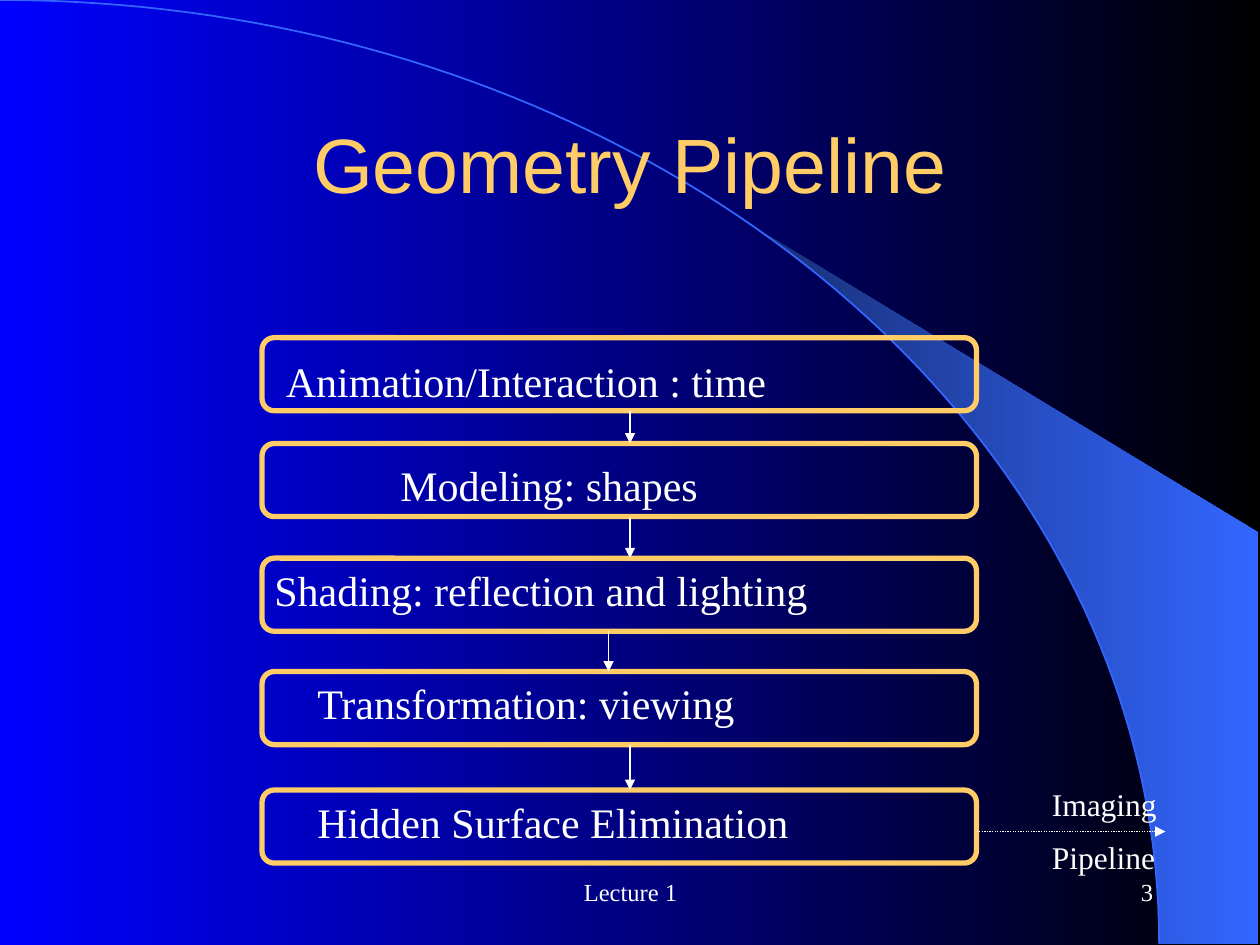
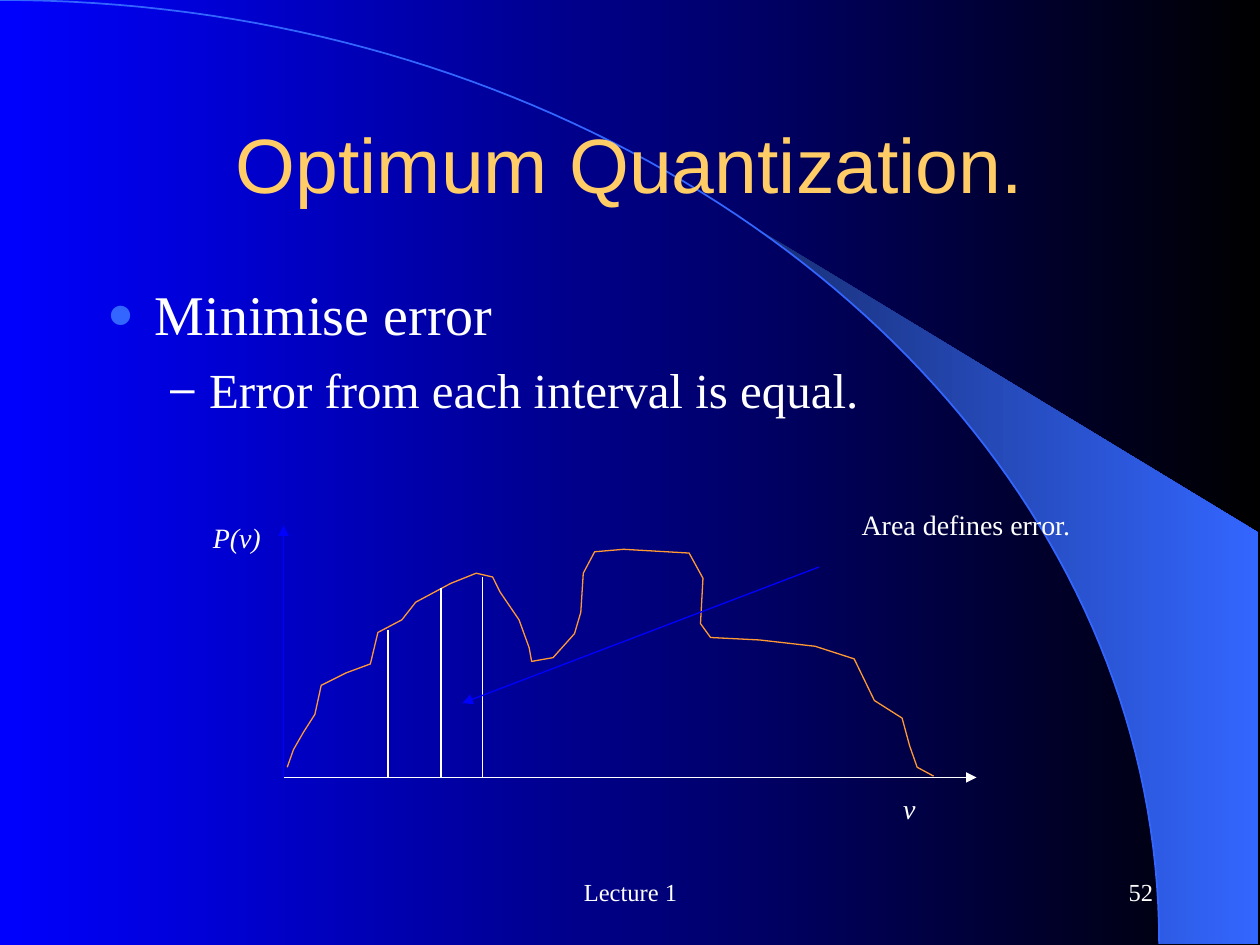
from dataclasses import dataclass

import lxml.etree
import pptx
import pptx.dml.color
import pptx.enum.dml
import pptx.enum.shapes
import pptx.enum.text
import pptx.oxml.ns
import pptx.util

PX = 9144
COLORS = {
    "blue": "0000FF",
    "black": "000000",
    "gold": "FFCC66",
    "white": "FFFFFF",
    "sky": "3366FF",
    "navy": "182F76",
    "orange": "FF9933",
}
SERIF = "Times New Roman"
ALIGN = pptx.enum.text.PP_ALIGN
MIDDLE = pptx.enum.text.MSO_ANCHOR.MIDDLE
TOP = pptx.enum.text.MSO_ANCHOR.TOP

Box = tuple[int, int, int, int]
Point = tuple[float, float]


@dataclass
class Label:
    text: str
    box: Box
    size: int
    italic: bool = False
    wrap: bool = True
    align: ALIGN = ALIGN.LEFT
    anchor: pptx.enum.text.MSO_ANCHOR = TOP


@dataclass
class Line:
    start: Point
    end: Point
    color: str = "white"
    arrow: bool = True
    dotted: bool = False


@dataclass
class Stage:
    text: str
    top: int
    text_left: int
    text_width: int
    text_drop: int = 0
    arrow_x: int = 500


@dataclass
class Bullet:
    text: str
    level: int
    size: int
    mark: str
    color: str
    percent: int
    left: int
    hanging: int
    before: int


WIDTH, HEIGHT = 1000, 750
ARC_END = (920, 749)
BAND_LEFT, BAND_RIGHT = 589, 999
BAND_RIGHT_TOP = 423

STAGE_LEFT, STAGE_WIDTH, STAGE_HEIGHT = 208, 567, 58
STAGES = [
    Stage("Animation/Interaction : time", 268, 217, 558, text_drop=9),
    Stage("Modeling: shapes", 352, 308, 417, text_drop=8),
    Stage("Shading: reflection and lighting", 443, 208, 626, arrow_x=483),
    Stage("Transformation: viewing", 533, 242, 533),
    Stage("Hidden Surface Elimination", 627, 242, 525),
]
IMAGING_ARROW = Line((STAGE_LEFT + STAGE_WIDTH, 660), (925, 660), dotted=True)
IMAGING_LABELS = [
    Label("Imaging", (825, 618, 117, 40), 18),
    Label("Pipeline", (825, 660, 108, 40), 18),
]

BULLETS = [
    Bullet("Minimise error", 0, 32, "●", "sky", 80, 38, 38, 0),
    Bullet("Error from each interval is equal.", 1, 28, "–", "white", 90, 81, 31, 7),
]
PLOT_LABELS = [
    Label("v", (707, 623, 30, 37), 16, italic=True, wrap=False),
    Label("P(v)", (159, 408, 58, 37), 16, italic=True, wrap=False),
    Label("Area defines error.", (674, 398, 187, 37), 16, wrap=False),
]
ORIGIN = (225, 617)
INTERVALS = [(308, 500), (350, 467), (383, 458)]
PLOT_LINES = [
    Line(ORIGIN, (775, 617)),
    Line(ORIGIN, (225, 417), "blue"),
    *[Line((x, y), (x, ORIGIN[1]), arrow=False) for x, y in INTERVALS],
    Line((650, 450), (367, 558), "blue"),
]
DENSITY = [
    (228, 609), (233, 595), (241, 581), (250, 567), (255, 544), (275, 534),
    (294, 527), (300, 502), (319, 492), (330, 478), (358, 463), (378, 455),
    (391, 458), (397, 470), (412, 492), (420, 514), (422, 525), (439, 522),
    (456, 503), (461, 486), (463, 455), (472, 438), (495, 436), (547, 439),
    (558, 459), (556, 495), (564, 506), (603, 508), (647, 513), (678, 523),
    (694, 556), (716, 570), (722, 592), (728, 609), (741, 616),
]


def rgb(name: str) -> pptx.dml.color.RGBColor:
    return pptx.dml.color.RGBColor.from_string(COLORS[name])


def scaled(values) -> list[int]:
    return [round(v * PX) for v in values]


def add_xml(parent, tag: str, **attrs: str):
    return lxml.etree.SubElement(parent, pptx.oxml.ns.qn(tag), **attrs)


def set_gradient(fill, first: str, last: str) -> None:
    fill.gradient()
    fill.gradient_angle = 0
    for stop, name in zip(fill.gradient_stops, (first, last)):
        stop.color.rgb = rgb(name)


def set_line(line, color: str, width: float) -> None:
    line.color.rgb = rgb(color)
    line.width = pptx.util.Pt(width)


def set_font(p, size: int, name: str = SERIF, color: str = "white",
             italic: bool = False) -> None:
    p.font.size = pptx.util.Pt(size)
    p.font.name = name
    p.font.italic = italic
    p.font.color.rgb = rgb(color)


def arc_points(steps: int = 80) -> list[Point]:
    right, bottom = ARC_END
    points = []
    for i in range(steps + 1):
        t = i / steps
        u = 1 - t
        b, c, d = 3 * u * u * t, 3 * u * t * t, t ** 3
        points.append((508 * b + right * (c + d), 335 * c + bottom * d))
    return points


def add_outline(slide, points: list[Point], close: bool = False):
    start, *rest = [scaled(point) for point in points]
    builder = slide.shapes.build_freeform(*start, scale=1.0)
    builder.add_line_segments(rest, close=close)
    sp = builder.convert_to_shape()
    sp.shadow.inherit = False
    sp.fill.background()
    return sp


def add_label(slide, label: Label) -> None:
    tf = slide.shapes.add_textbox(*scaled(label.box)).text_frame
    tf.word_wrap = label.wrap
    tf.vertical_anchor = label.anchor
    p = tf.paragraphs[0]
    p.text = label.text
    p.alignment = label.align
    set_font(p, label.size, italic=label.italic)


def add_line(slide, line: Line) -> None:
    cxn = slide.shapes.add_connector(
        pptx.enum.shapes.MSO_CONNECTOR.STRAIGHT,
        *scaled(line.start), *scaled(line.end))
    set_line(cxn.line, line.color, 0.75)
    if line.dotted:
        cxn.line.dash_style = pptx.enum.dml.MSO_LINE.ROUND_DOT
    spPr = cxn.element.spPr
    if line.arrow:
        add_xml(spPr.find(pptx.oxml.ns.qn("a:ln")), "a:tailEnd", type="triangle")
    add_xml(spPr, "a:effectLst")


def place(sp, box: Box, anchor):
    sp.left, sp.top, sp.width, sp.height = scaled(box)
    tf = sp.text_frame
    tf.word_wrap = True
    tf.auto_size = pptx.enum.text.MSO_AUTO_SIZE.NONE
    tf.vertical_anchor = anchor
    return tf


def add_slide(prs, layout: int, title: str, number: int):
    slide = prs.slides.add_slide(prs.slide_layouts[layout])
    tf = place(slide.shapes.title, (75, 67, 850, 125), MIDDLE)
    tf.text = title
    p = tf.paragraphs[0]
    p.alignment = ALIGN.CENTER
    set_font(p, 44, "Arial", "gold")
    add_label(slide, Label("Lecture 1", (342, 683, 317, 50), 14,
                           align=ALIGN.CENTER, anchor=MIDDLE))
    add_label(slide, Label(str(number), (717, 683, 208, 50), 14,
                           align=ALIGN.RIGHT, anchor=MIDDLE))
    return slide


def add_master_art(prs, slide) -> None:
    master = prs.slide_master
    set_gradient(master.background.fill, "blue", "black")
    curve = arc_points()
    inner_edge = [point for point in curve if point[0] >= BAND_LEFT]
    corners = [(BAND_RIGHT, ARC_END[1]), (BAND_RIGHT, BAND_RIGHT_TOP)]
    band = add_outline(slide, inner_edge + corners, close=True)
    set_gradient(band.fill, "navy", "sky")
    band.line.fill.background()
    arc = add_outline(slide, curve)
    set_line(arc.line, "sky", 1)
    for i, sp in enumerate((band, arc)):
        sp.element.xpath(".//p:cNvPr")[0].set("id", str(100 + i))
        master.shapes.element.insert(2 + i, sp.element)


def add_stage(slide, stage: Stage) -> None:
    sp = slide.shapes.add_shape(
        pptx.enum.shapes.MSO_SHAPE.ROUNDED_RECTANGLE,
        *scaled((STAGE_LEFT, stage.top, STAGE_WIDTH, STAGE_HEIGHT)))
    sp.shadow.inherit = False
    sp.fill.background()
    set_line(sp.line, "gold", 3)
    box = (stage.text_left, stage.top + stage.text_drop, stage.text_width, 50)
    add_label(slide, Label(stage.text, box, 24))


def write_bullet(p, bullet: Bullet) -> None:
    p.text = bullet.text
    p.level = bullet.level
    pPr = p._p.get_or_add_pPr()
    pPr.set("marL", str(bullet.left * PX))
    pPr.set("indent", str(-bullet.hanging * PX))
    add_xml(add_xml(pPr, "a:buClr"), "a:srgbClr", val=COLORS[bullet.color])
    add_xml(pPr, "a:buSzPct", val=str(bullet.percent * 1000))
    add_xml(pPr, "a:buChar", char=bullet.mark)
    p.space_before = pptx.util.Pt(bullet.before)
    set_font(p, bullet.size)


def build_pipeline(prs) -> None:
    slide = add_slide(prs, 5, "Geometry Pipeline", 3)
    add_master_art(prs, slide)
    for stage in STAGES:
        add_stage(slide, stage)
    for stage, following in zip(STAGES, STAGES[1:]):
        x = stage.arrow_x
        add_line(slide, Line((x, stage.top + STAGE_HEIGHT), (x, following.top)))
    add_line(slide, IMAGING_ARROW)
    for label in IMAGING_LABELS:
        add_label(slide, label)


def build_quantization(prs) -> None:
    slide = add_slide(prs, 1, "Optimum Quantization.", 52)
    tf = place(slide.placeholders[1], (75, 217, 850, 191), TOP)
    for i, bullet in enumerate(BULLETS):
        write_bullet(tf.add_paragraph() if i else tf.paragraphs[0], bullet)
    density = add_outline(slide, DENSITY)
    set_line(density.line, "orange", 0.75)
    for line in PLOT_LINES:
        add_line(slide, line)
    for label in PLOT_LABELS:
        add_label(slide, label)


def main() -> None:
    prs = pptx.Presentation()
    prs.slide_width, prs.slide_height = scaled((WIDTH, HEIGHT))
    build_pipeline(prs)
    build_quantization(prs)
    prs.save("out.pptx")


if __name__ == "__main__":
    main()
